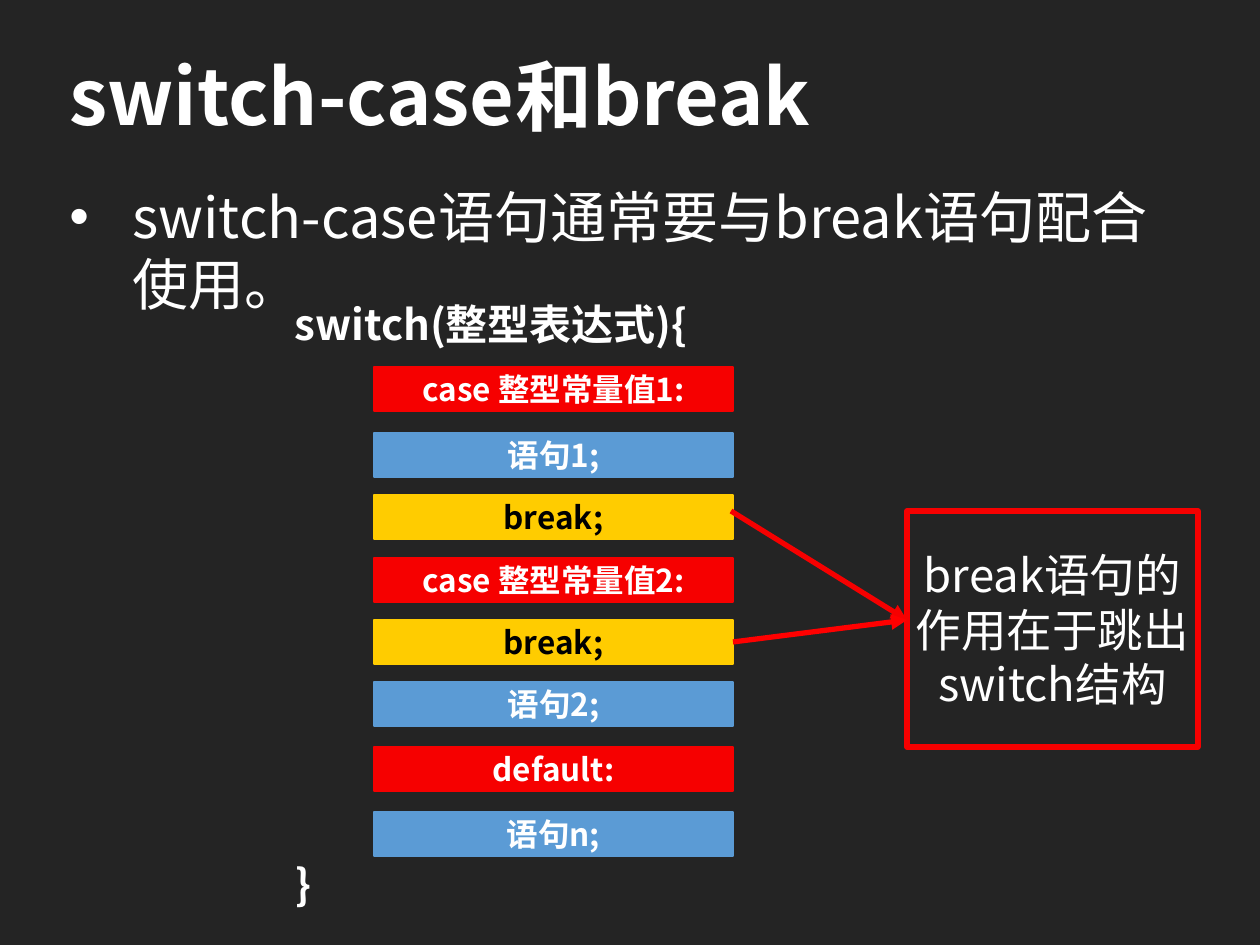
"""Build the slide on how switch-case works together with break."""
from dataclasses import dataclass

from lxml import etree
from pptx import Presentation
from pptx import util as u
from pptx.dml.color import RGBColor
from pptx.enum import shapes, text
from pptx.oxml.ns import qn


@dataclass(frozen=True)
class Theme:
    font: str = "Noto Sans CJK SC"
    back: str = "242424"
    white: str = "FFFFFF"
    black: str = "000000"
    red: str = "F60000"
    bright_red: str = "FF0000"
    blue: str = "5B9BD5"
    yellow: str = "FFCC00"
    title: int = 44
    body: int = 32
    callout: int = 26
    code: int = 24
    bar: int = 18


theme = Theme()
PX = u.Inches(1) / 126


def px(*lengths):
    return [u.Emu(round(length * PX)) for length in lengths]


def write(shape, lines, size, color=theme.white, bold=False, align=text.PP_ALIGN.LEFT,
          anchor=text.MSO_ANCHOR.TOP, wrap=True, bullet=False):
    frame = shape.text_frame
    frame.word_wrap = wrap
    frame.vertical_anchor = anchor
    frame.text = "\n".join(lines)
    for para in frame.paragraphs:
        para.alignment = align
        props = para._p.get_or_add_pPr()
        if bullet:
            props.set("marL", str(px(63)[0]))
            props.set("indent", str(-px(63)[0]))
            etree.SubElement(props, qn("a:buFont"), typeface="Arial")
            etree.SubElement(props, qn("a:buChar"), char="•")
        para.font.name = theme.font
        para.font.size = u.Pt(size)
        para.font.bold = bold
        para.font.color.rgb = RGBColor.from_string(color)
        etree.SubElement(props.find(qn("a:defRPr")), qn("a:ea"), typeface=theme.font)


deck = Presentation()
deck.slide_width, deck.slide_height = px(1260, 945)
page = deck.slides.add_slide(deck.slide_layouts[6])
page.background.fill.solid()
page.background.fill.fore_color.rgb = RGBColor.from_string(theme.back)

title = page.shapes.add_textbox(*px(57, 29, 1145, 131))
write(title, ["switch-case和break"], theme.title, bold=True, anchor=text.MSO_ANCHOR.MIDDLE)
body = page.shapes.add_textbox(*px(57, 176, 1148, 699))
write(body, ["switch-case语句通常要与break语句配合使用。"], theme.body, bullet=True)

for code, left, top, width in [("switch(整型表达式){", 282, 292, 451), ("}", 283, 852, 55)]:
    box = page.shapes.add_textbox(*px(left, top, width, 66))
    write(box, [code], theme.code, bold=True)

bars = [
    ("case 整型常量值1:", 367, theme.red, theme.white),
    ("语句1;", 433, theme.blue, theme.white),
    ("break;", 495, theme.yellow, theme.black),
    ("case 整型常量值2:", 558, theme.red, theme.white),
    ("break;", 620, theme.yellow, theme.black),
    ("语句2;", 682, theme.blue, theme.white),
    ("default:", 747, theme.red, theme.white),
    ("语句n;", 812, theme.blue, theme.white),
]
breaks = []
for label, top, fill, ink in bars:
    bar = page.shapes.add_shape(shapes.MSO_SHAPE.FLOWCHART_PROCESS, *px(374, top, 359, 44))
    bar.shadow.inherit = False
    bar.fill.solid()
    bar.fill.fore_color.rgb = bar.line.color.rgb = RGBColor.from_string(fill)
    bar.line.width = u.Pt(0.75)
    write(bar, [label], theme.bar, ink, True, text.PP_ALIGN.CENTER,
          text.MSO_ANCHOR.MIDDLE, wrap=False)
    if label == "break;":
        breaks.append(bar)

callout = page.shapes.add_shape(shapes.MSO_SHAPE.RECTANGLE, *px(907, 511, 291, 236))
callout.shadow.inherit = False
callout.fill.background()
callout.line.color.rgb = RGBColor.from_string(theme.red)
callout.line.width = u.Pt(3)
write(callout, ["break语句的", "作用在于跳出", "switch结构"], theme.callout,
      align=text.PP_ALIGN.CENTER, anchor=text.MSO_ANCHOR.MIDDLE, wrap=False)

arrows = []
for left, top, color in [(731, 511, theme.red), (733, 642, theme.bright_red)]:
    arrow = page.shapes.add_connector(shapes.MSO_CONNECTOR.STRAIGHT, *px(left, top, 907, 620))
    arrow.line.color.rgb = RGBColor.from_string(color)
    arrow.line.width = u.Pt(3)
    etree.SubElement(arrow.line._get_or_add_ln(), qn("a:tailEnd"), type="triangle")
    etree.SubElement(arrow._element.spPr, qn("a:effectLst"))
    arrows.append(arrow)
arrows[1].begin_connect(breaks[1], 3)

deck.save("out.pptx")
